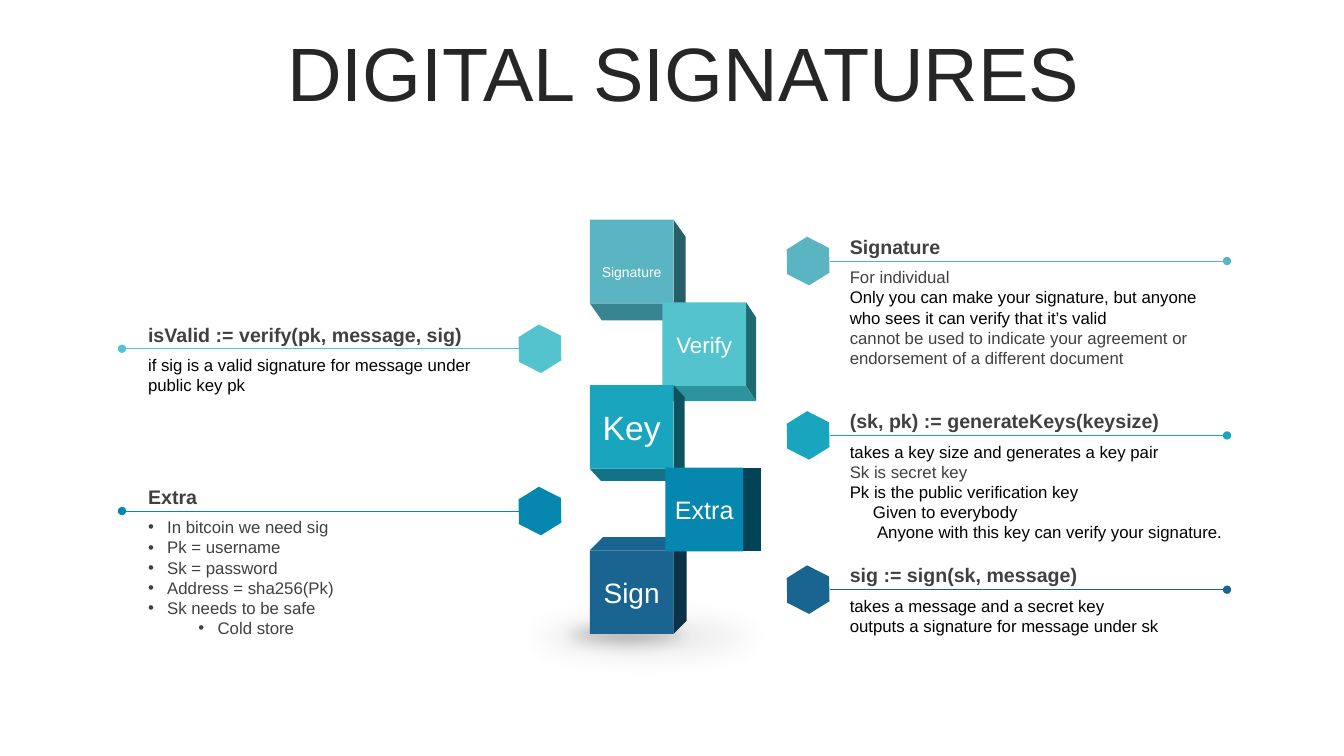
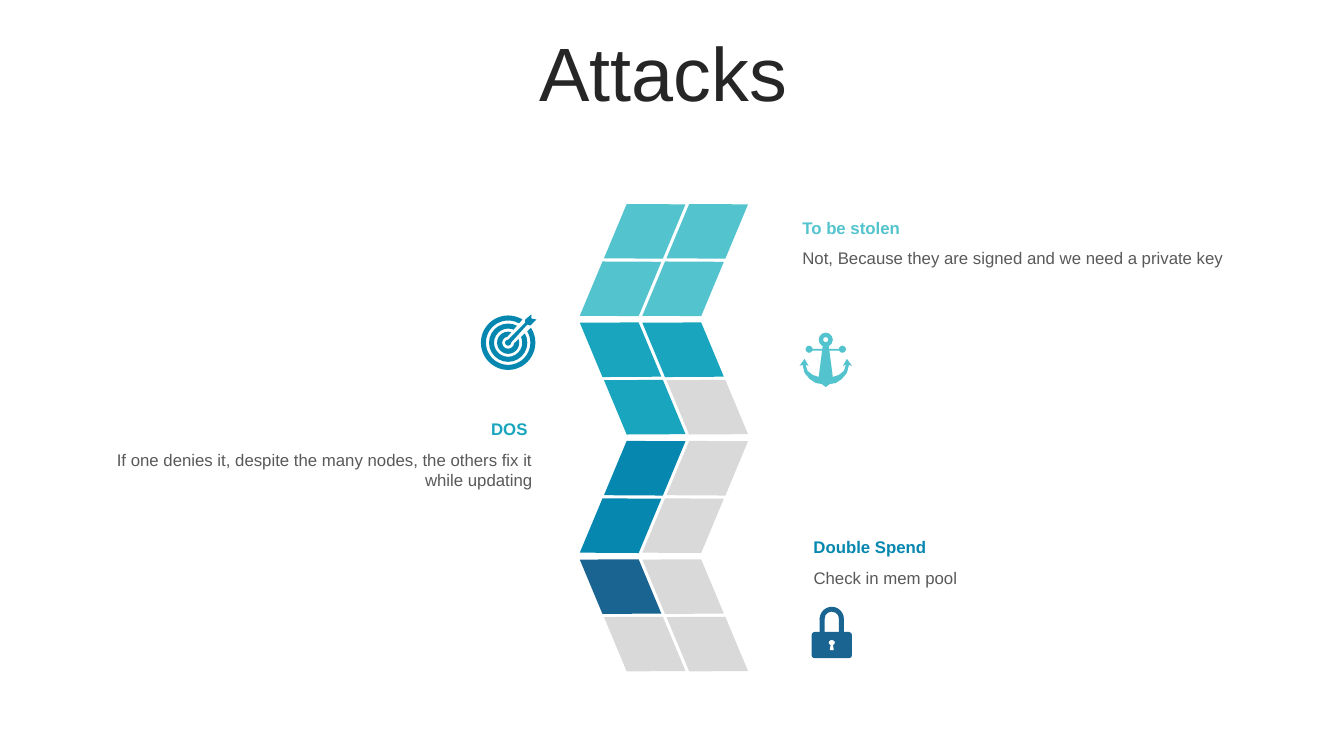
from lxml.etree import SubElement
from pptx import Presentation
from pptx.dml.color import RGBColor
from pptx.enum.shapes import MSO_CONNECTOR, MSO_SHAPE
from pptx.enum.text import MSO_ANCHOR, MSO_AUTO_SIZE, PP_ALIGN
from pptx.oxml.ns import qn
from pptx.util import Inches, Pt

FONT = "Arial"
COLOURS = {
    "mist": "5AB4C1", "aqua": "53C3CD", "teal": "19A5BE", "blue": "0587AF",
    "navy": "196491", "grey": "D9D9D9", "shadow": "808080", "white": "FFFFFF",
    "black": "000000", "title": "262626", "heading": "404040", "caption": "595959",
}

RIGHT = {"hexagon": 7.77, "text": 8.33, "line": (8.23, 12.17), "dot": "tailEnd"}
LEFT = {"hexagon": 5.11, "text": 1.37, "line": (1.21, 5.15), "dot": "headEnd"}
SECTIONS = [
    (RIGHT, 2.59, 3.7, "mist", "Signature", [
        ("For individual", "heading", 0, False),
        ("Only you can make your signature, but anyone who sees it can verify that it’s valid", "black", 0, False),
        ("cannot be used to indicate your agreement or endorsement of a different document", "heading", 0, False)]),
    (LEFT, 3.46, 3.7, "aqua", "isValid := verify(pk, message, sig)", [
        ("if sig is a valid signature for message under public key pk", "black", 0, False)]),
    (RIGHT, 4.32, 4.01, "teal", "(sk, pk) := generateKeys(keysize)", [
        ("takes a key size and generates a key pair", "black", 0, False),
        ("Sk is secret key", "heading", 0, False),
        ("Pk is the public verification key", "black", 0, False),
        ("Given to everybody", "black", 0.23, False),
        ("Anyone with this key can verify your signature.", "black", 0.27, False)]),
    (LEFT, 5.07, 3.7, "blue", "Extra", [
        ("In bitcoin we need sig", "heading", 0.19, True),
        ("Pk = username", "heading", 0.19, True),
        ("Sk = password", "heading", 0.19, True),
        ("Address = sha256(Pk)", "heading", 0.19, True),
        ("Sk needs to be safe", "heading", 0.19, True),
        ("Cold store", "heading", 0.69, True)]),
    (RIGHT, 5.85, 3.7, "navy", "sig := sign(sk, message)", [
        ("takes a message and a secret key", "black", 0, False),
        ("outputs a signature for message under sk", "black", 0, False)]),
]

CUBE = 0.83
CUBE_TOP, CUBE_PITCH = 2.18, 0.82
CUBES = [
    ("Signature", 10, 0, 5.85, CUBE, (0.12, 0.17), "mist", 0.2),
    ("Verify", 16, 1, 6.57, CUBE, (0.1, 0.15), "aqua", 0),
    ("Key", 24, 2, 5.85, CUBE, (0.11, 0.12), "teal", 0),
    ("Sign", 20, 4, 5.85, CUBE, (0.13, -0.13), "navy", 0),
    ("Extra", 18, 3, 6.6, 0.77, (0.18, 0), "blue", 0),
]
SHADOWS = [((4.56, 5.86, 3.67, 0.92), 20, 0.3), ((5.27, 6.06, 1.89, 0.47), 51, 0.15)]

BANDS = [
    ("aqua", ("11", "11")), ("teal", ("11", "10")),
    ("blue", ("10", "10")), ("navy", ("10", "00")),
]
CAPTIONS = [
    (7.86, 2.11, 4.47, 4.51, PP_ALIGN.LEFT, "aqua", "To be stolen",
     "Not, Because they are signed and we need a private key"),
    (7.97, 5.28, 4.47, 4.51, PP_ALIGN.LEFT, "blue", "Double Spend", "Check in mem pool"),
    (0.82, 4.11, 4.51, 4.56, PP_ALIGN.RIGHT, "teal", "DOS",
     "If one denies it, despite the many nodes, the others fix it while updating"),
]

TARGET_CENTRE = (5.04, 3.4)
TARGET_RADII = (0.27, 0.19, 0.11)
DART = [(5.02, 3.39), (5.21, 3.2), (5.21, 3.17), (5.27, 3.12), (5.27, 3.16),
        (5.32, 3.17), (5.26, 3.23), (5.23, 3.22), (5.05, 3.42)]
DART_GAP = [(5.0, 3.38), (5.21, 3.14), (5.3, 3.22), (5.06, 3.44)]
ANCHOR_AXIS = 8.19
ANCHOR_HALF = [(0.03, 3.43), (0.07, 3.74), (0.13, 3.72), (0.18, 3.68), (0.2, 3.62),
               (0.17, 3.63), (0.21, 3.56), (0.26, 3.63), (0.23, 3.62), (0.21, 3.7),
               (0.16, 3.76), (0.1, 3.8), (0.04, 3.81), (0, 3.84)]
ICON_PARTS = [
    (MSO_SHAPE.DONUT, (8.12, 3.3, 0.14, 0.14), "aqua", (0, 0.32)),
    (MSO_SHAPE.RECTANGLE, (8.03, 3.46, 0.33, 0.02), "aqua", None),
    (MSO_SHAPE.OVAL, (7.99, 3.43, 0.07, 0.07), "aqua", None),
    (MSO_SHAPE.OVAL, (8.32, 3.43, 0.07, 0.07), "aqua", None),
    (MSO_SHAPE.BLOCK_ARC, (8.13, 6.02, 0.24, 0.24), "navy", (2, 0.2)),
    (MSO_SHAPE.RECTANGLE, (8.13, 6.13, 0.05, 0.16), "navy", None),
    (MSO_SHAPE.RECTANGLE, (8.32, 6.13, 0.05, 0.16), "navy", None),
    (MSO_SHAPE.ROUNDED_RECTANGLE, (8.05, 6.27, 0.4, 0.26), "navy", (0, 0.12)),
    (MSO_SHAPE.OVAL, (8.22, 6.35, 0.06, 0.05), "white", None),
    (MSO_SHAPE.TRAPEZOID, (8.23, 6.39, 0.04, 0.06), "white", None),
]


def rgb(name):
    return RGBColor.from_string(COLOURS[name])


def paint(shape, colour, brightness=0):
    shape.shadow.inherit = False
    shape.fill.solid()
    shape.fill.fore_color.rgb = rgb(colour)
    shape.fill.fore_color.brightness = brightness
    shape.line.fill.background()
    return shape


def add_preset(slide, preset, box, colour, rotation=0):
    shape = paint(slide.shapes.add_shape(preset, *map(Inches, box)), colour)
    shape.rotation = rotation
    return shape


def add_polygon(slide, points, colour, brightness=0):
    corners = [(Inches(x), Inches(y)) for x, y in points]
    outline = slide.shapes.build_freeform(*corners[0])
    outline.add_line_segments(corners[1:], close=True)
    return paint(outline.convert_to_shape(), colour, brightness)


def add_run(paragraph, text, size, colour, bold=False):
    run = paragraph.add_run()
    run.text = text
    run.font.name, run.font.size, run.font.bold = FONT, Pt(size), bold
    run.font.color.rgb = rgb(colour)


def add_text(slide, box, paragraphs, size, bold=False, align=PP_ALIGN.LEFT):
    frame = slide.shapes.add_textbox(*map(Inches, box)).text_frame
    frame.word_wrap = True
    for index, (text, colour, indent, bulleted) in enumerate(paragraphs):
        paragraph = frame.add_paragraph() if index else frame.paragraphs[0]
        paragraph.alignment = align
        properties = paragraph._p.get_or_add_pPr()
        if indent:
            properties.set("marL", str(Inches(indent)))
        if bulleted:
            properties.set("indent", str(Inches(-0.19)))
            SubElement(properties, qn("a:buFont"), typeface=FONT)
            SubElement(properties, qn("a:buChar"), char="•")
        add_run(paragraph, text, size, colour, bold)


def add_titled_slide(deck, title, shift):
    slide = deck.slides.add_slide(deck.slide_layouts[5])
    heading = slide.shapes.title
    heading.left, heading.top = Inches(0.35 + shift), Inches(0.37)
    heading.width, heading.height = Inches(12.66), Inches(0.79)
    frame = heading.text_frame
    frame.auto_size = MSO_AUTO_SIZE.NONE
    frame.vertical_anchor = MSO_ANCHOR.MIDDLE
    paragraph = frame.paragraphs[0]
    paragraph.alignment = PP_ALIGN.CENTER
    paragraph.line_spacing = 0.9
    add_run(paragraph, title, 54, "title")
    return slide


def add_shadow(slide, box, opacity, softness):
    ellipse = add_preset(slide, MSO_SHAPE.OVAL, box, "shadow")
    properties = ellipse._element.spPr
    SubElement(properties.find(".//" + qn("a:srgbClr")), qn("a:alpha"), val=str(opacity * 1000))
    SubElement(properties.find(qn("a:effectLst")), qn("a:softEdge"), rad=str(Inches(softness)))


def add_section(slide, side, y, width, colour, heading, paragraphs):
    hexagon = add_preset(slide, MSO_SHAPE.HEXAGON, (side["hexagon"], y - 0.21, 0.49, 0.42), colour, 328)
    hexagon.adjustments[0] = 0.3
    start, end = side["line"]
    rule = slide.shapes.add_connector(
        MSO_CONNECTOR.STRAIGHT, Inches(start), Inches(y), Inches(end), Inches(y))
    rule.line.color.rgb = rgb(colour)
    rule.line.width = Pt(0.5)
    SubElement(rule.line._get_or_add_ln(), qn("a:" + side["dot"]), type="oval")
    SubElement(rule._element.spPr, qn("a:effectLst"))
    add_text(slide, (side["text"], y - 0.31, 3.7, 0.34), [(heading, "heading", 0, False)], 14, True)
    add_text(slide, (side["text"], y + 0.01, width, 0.1 + 0.2 * len(paragraphs)), paragraphs, 12)


def add_cube(slide, label, size, row, left, width, depth, colour, drop):
    top = CUBE_TOP + CUBE_PITCH * row
    right, bottom = left + width, top + CUBE
    dx, dy = depth
    add_polygon(slide, [(right, top), (right + dx, top + dy),
                        (right + dx, bottom + dy), (right, bottom)], colour, -0.5)
    if dy:
        edge = bottom if dy > 0 else top
        add_polygon(slide, [(left, edge), (right, edge), (right + dx, edge + dy),
                            (left + dx, edge + dy)], colour, -0.3 if dy > 0 else 0)
    face = add_preset(slide, MSO_SHAPE.RECTANGLE, (left, top, width, CUBE), colour)
    frame = face.text_frame
    frame.word_wrap = False
    frame.margin_left = frame.margin_right = frame.margin_bottom = 0
    frame.margin_top = Inches(drop)
    frame.vertical_anchor = MSO_ANCHOR.MIDDLE
    frame.paragraphs[0].alignment = PP_ALIGN.CENTER
    add_run(frame.paragraphs[0], label, size, "white")


def add_zigzag(slide):
    for band, (colour, rows) in enumerate(BANDS):
        leans_right = band % 2 == 0
        for row, cells in enumerate(rows):
            offset = 0.24 if leans_right == (row == 0) else 0
            for column, filled in enumerate(cells):
                box = (5.67 + offset + 0.62 * column, 1.97 + 1.175 * band + 0.57 * row, 0.97, 0.65)
                add_preset(slide, MSO_SHAPE.FLOWCHART_DECISION, box,
                           colour if filled == "1" else "grey", 326.5 if leans_right else 33.5)


def add_icons(slide):
    x, y = TARGET_CENTRE
    for radius in TARGET_RADII:
        ring = add_preset(slide, MSO_SHAPE.DONUT,
                          (x - radius, y - radius, 2 * radius, 2 * radius), "blue")
        ring.adjustments[0] = 0.05 / (2 * radius)
    add_polygon(slide, DART_GAP, "white")
    add_preset(slide, MSO_SHAPE.OVAL, (x - 0.03, y - 0.03, 0.06, 0.06), "blue")
    add_polygon(slide, DART, "blue")
    mirrored = [(-dx, dy) for dx, dy in reversed(ANCHOR_HALF)]
    add_polygon(slide, [(ANCHOR_AXIS + dx, dy) for dx, dy in ANCHOR_HALF + mirrored], "aqua")
    for preset, box, colour, adjustment in ICON_PARTS:
        part = add_preset(slide, preset, box, colour)
        if adjustment:
            part.adjustments[adjustment[0]] = adjustment[1]


def main():
    deck = Presentation()
    deck.slide_width, deck.slide_height = Inches(13.33), Inches(7.5)

    signatures = add_titled_slide(deck, "DIGITAL SIGNATURES", 0.1)
    for shadow in SHADOWS:
        add_shadow(signatures, *shadow)
    for section in SECTIONS:
        add_section(signatures, *section)
    for cube in CUBES:
        add_cube(signatures, *cube)

    attacks = add_titled_slide(deck, "Attacks", -0.1)
    add_zigzag(attacks)
    for left, top, heading_width, body_width, align, colour, heading, body in CAPTIONS:
        add_text(attacks, (left, top, heading_width, 0.3), [(heading, colour, 0, False)], 12, True, align)
        add_text(attacks, (left, top + 0.3, body_width, 0.3), [(body, "caption", 0, False)], 12, False, align)
    add_icons(attacks)

    deck.save("out.pptx")


if __name__ == "__main__":
    main()
